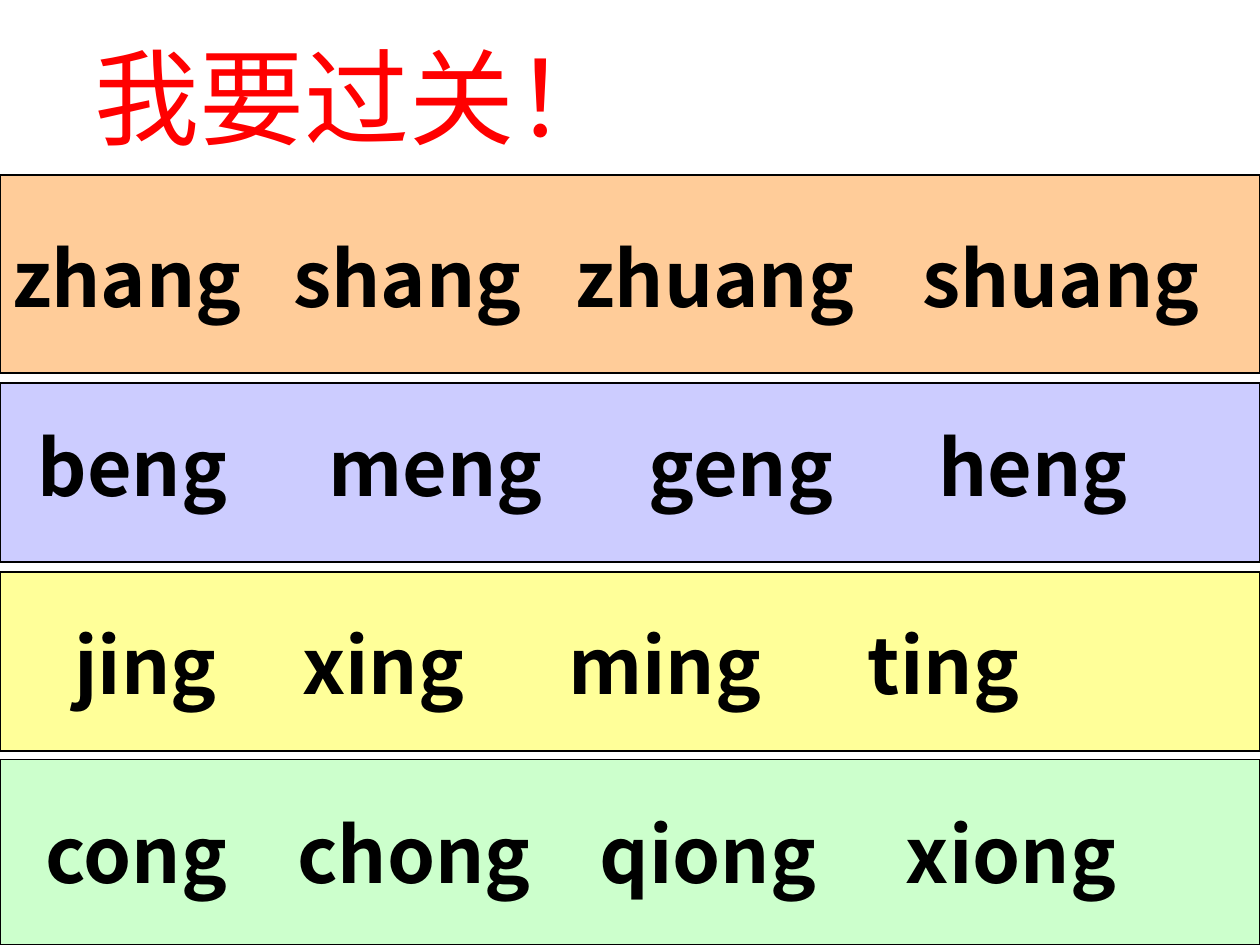
from typing import NamedTuple

from lxml.etree import SubElement
from pptx import Presentation
from pptx.dml.color import RGBColor
from pptx.enum.shapes import MSO_SHAPE as SHAPE
from pptx.enum.text import MSO_ANCHOR as ANCHOR, MSO_AUTO_SIZE as AUTO, PP_ALIGN as ALIGN
from pptx.oxml.ns import qn
from pptx.util import Inches, Pt


class Band(NamedTuple):
    top: float
    height: float
    fill: str


class Row(NamedTuple):
    left: float
    top: float
    width: float
    height: float
    inset: float
    words: list[str]
    stops: list[float]


BANDS = [
    Band(1.39, 1.57, "FFCC99"),
    Band(3.04, 1.42, "CCCCFF"),
    Band(4.54, 1.42, "FFFF99"),
    Band(6.03, 1.47, "CCFFCC"),
]
ROWS = [
    Row(0, 1.78, 10.8, 0.84, 0.1, ["zhang", "shang", "zhuang", "shuang"], [2.23, 4.47, 7.22]),
    Row(0.2, 3.28, 9.8, 0.84, 0.1, ["beng", "meng", "geng", "heng"], [2.31, 4.85, 7.15]),
    Row(0.49, 4.85, 8.13, 1.57, 0.1, ["jing", "xing", "ming", "ting"], [1.81, 3.92, 6.3]),
    Row(0, 6.35, 9.73, 0.84, 0.36, ["cong", "chong", "qiong", "xiong"], [2.0, 4.4, 6.83]),
]


def rgb(value: str) -> RGBColor:
    return RGBColor.from_string(value)


def write(sp, text: str, *, size: float, font: str, color: str = "000000",
          bold: bool = False, inset: float = 0.1, stops: list[float] | None = None) -> None:
    tf = sp.text_frame
    tf.word_wrap = True
    tf.auto_size = AUTO.NONE
    tf.vertical_anchor = ANCHOR.TOP
    tf.margin_left, tf.margin_right = Inches(inset), Inches(0.1)
    tf.margin_top = tf.margin_bottom = Inches(0.05)
    p = tf.paragraphs[0]
    p.alignment = ALIGN.LEFT
    if stops:
        tabs = SubElement(p._p.get_or_add_pPr(), qn("a:tabLst"))
        for stop in stops:
            SubElement(tabs, qn("a:tab"), pos=str(Inches(stop)), algn="l")
    r = p.add_run()
    r.text = text
    r.font.size = Pt(size)
    r.font.name = font
    r.font.bold = bold
    r.font.color.rgb = rgb(color)


def draw_band(s, band: Band) -> None:
    sp = s.shapes.add_shape(SHAPE.RECTANGLE, 0, Inches(band.top), Inches(10), Inches(band.height))
    sp.shadow.inherit = False
    sp.fill.solid()
    sp.fill.fore_color.rgb = rgb(band.fill)
    sp.line.color.rgb = rgb("000000")
    sp.line.width = Pt(0.75)


def draw_row(s, row: Row) -> None:
    sp = s.shapes.add_textbox(Inches(row.left), Inches(row.top), Inches(row.width), Inches(row.height))
    write(sp, "\t".join(row.words), size=44, font="Noto Sans CJK SC", bold=True,
          inset=row.inset, stops=row.stops)


def main() -> None:
    prs = Presentation()
    prs.slide_width, prs.slide_height = Inches(10), Inches(7.5)
    s = prs.slides.add_slide(prs.slide_layouts[5])
    for band in BANDS:
        draw_band(s, band)
    for row in ROWS:
        draw_row(s, row)
    title = s.shapes.title
    title.left, title.top = Inches(0.65), Inches(0.21)
    title.width, title.height = Inches(4.51), Inches(1.1)
    write(title, "我要过关！", size=60, font="Times New Roman", color="FF0000")
    prs.save("out.pptx")


if __name__ == "__main__":
    main()
